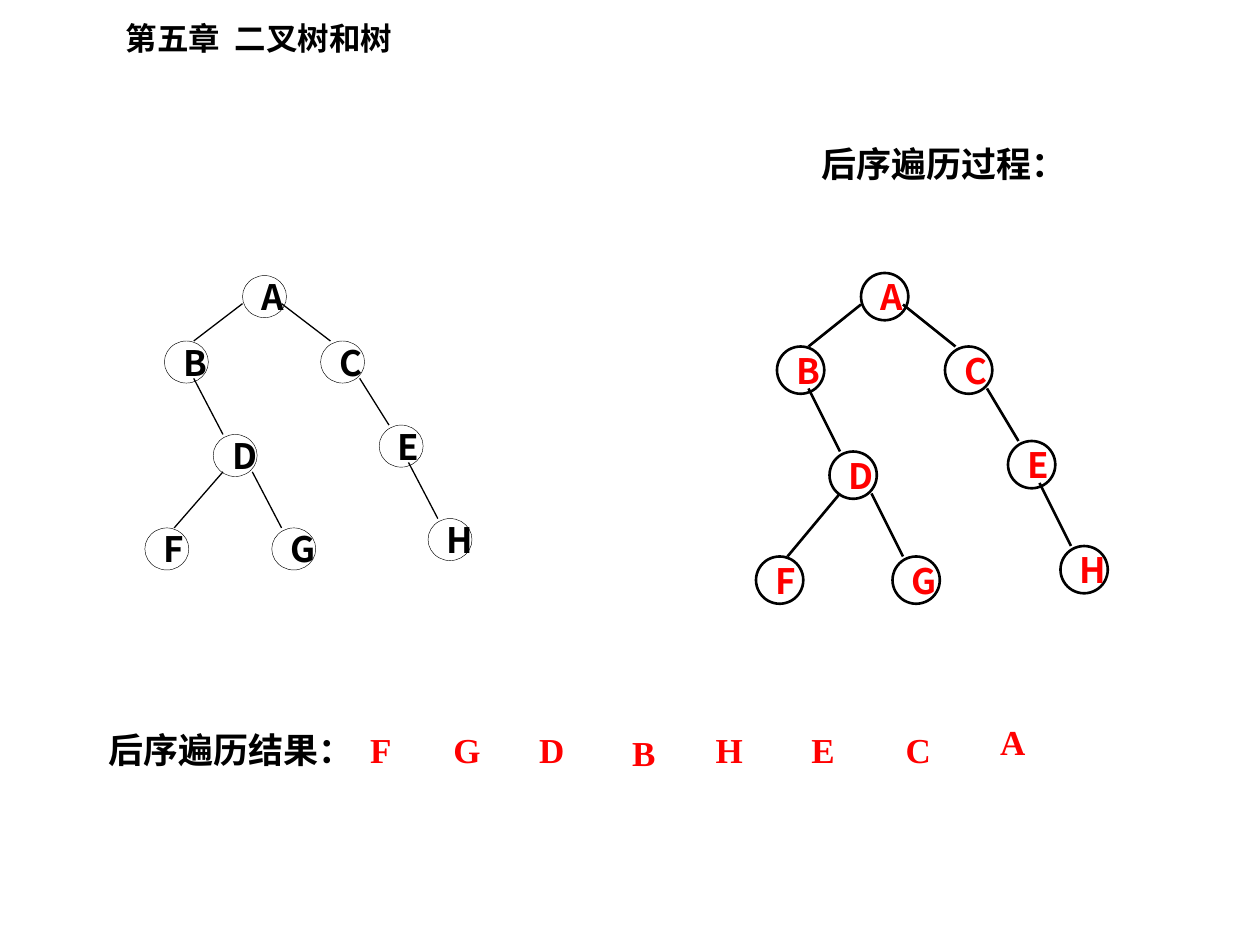
from lxml import etree
from pptx import Presentation
from pptx.dml.color import RGBColor
from pptx.enum.shapes import MSO_CONNECTOR, MSO_SHAPE
from pptx.enum.text import MSO_ANCHOR, MSO_AUTO_SIZE, PP_ALIGN
from pptx.oxml.ns import qn
from pptx.util import Pt

OVAL = MSO_SHAPE.OVAL
STRAIGHT = MSO_CONNECTOR.STRAIGHT
MIDDLE = MSO_ANCHOR.MIDDLE
CENTER = PP_ALIGN.CENTER
GROW = MSO_AUTO_SIZE.SHAPE_TO_FIT_TEXT

BLACK, RED = "000000", "FF0000"
SERIF, SANS = "Times New Roman", "Noto Sans CJK SC"
NODE_SIZE = 27

NODES = {
    "A": (60, 0), "B": (12, 42), "D": (42, 102), "C": (108, 42),
    "E": (144, 96), "G": (78, 162), "H": (174, 156), "F": (0, 162),
}
EDGES = [
    (60, 18, 30, 42), (84, 18, 114, 42), (132, 66, 150, 96),
    (162, 120, 180, 156), (30, 66, 48, 102), (66, 126, 84, 162),
    (18, 162, 48, 126),
]
TREES = [
    {"origin": (432, 156), "scale": (1, 1), "color": RED,
     "outline": 1.5, "edge": 1.5, "grouped": False},
    {"origin": (82.8, 157.5), "scale": (0.93, 0.89), "color": BLACK,
     "outline": 0.25, "edge": 0.75, "grouped": True},
]
TITLE = ("第五章  二叉树和树", 64.8, 7.2, 175, 28.8)
HEADINGS = [
    ("后序遍历过程：", 462.2, 77.8, 154.8, 31.7, 1),
    ("后序遍历结果：", 54.7, 406.8, 154.8, 37.4, 1.25),
]
RESULT = [
    ("F", 204.5, 412.6, 26.6, 31.7, 1),
    ("G", 252, 412.6, 29.5, 31.7, 1),
    ("D", 301, 412.6, 28.8, 31.7, 1),
    ("B", 354.2, 408.2, 27.4, 37.4, 1.25),
    ("H", 401.8, 412.6, 29.5, 31.7, 1),
    ("E", 456.5, 412.6, 27.4, 31.7, 1),
    ("C", 510.5, 412.6, 28.8, 31.7, 1),
    ("A", 564.5, 408.2, 28.8, 31.7, 1),
]


def rgb(value):
    return RGBColor.from_string(value)


def write(shape, text, size, font, color):
    paragraph = shape.text_frame.paragraphs[0]
    paragraph.text = text
    span = paragraph.runs[0]
    span.font.size = Pt(size)
    span.font.bold = True
    span.font.color.rgb = rgb(color)
    span.font.name = font
    east_asian = etree.SubElement(span.font._element, qn("a:ea"))
    east_asian.set("typeface", SANS)
    return paragraph


def add_text(page, text, left, top, width, height, spacing=1,
             size=20, color=BLACK, wrap=False):
    box = page.shapes.add_textbox(Pt(left), Pt(top), Pt(width), Pt(height))
    box.text_frame.word_wrap = wrap
    box.text_frame.auto_size = GROW
    paragraph = write(box, text, size, SERIF, color)
    if spacing != 1:
        paragraph.line_spacing = spacing


def add_tree(page, tree):
    shapes = page.shapes.add_group_shape().shapes if tree["grouped"] else page.shapes
    left, top = tree["origin"]
    scale_x, scale_y = tree["scale"]

    def place(x, y):
        return Pt(left + x * scale_x), Pt(top + y * scale_y)

    for letter, position in NODES.items():
        node = shapes.add_shape(OVAL, *place(*position),
                                Pt(NODE_SIZE * scale_x), Pt(NODE_SIZE * scale_y))
        node.shadow.inherit = False
        node.fill.background()
        node.line.color.rgb = rgb(BLACK)
        node.line.width = Pt(tree["outline"])
        node.text_frame.vertical_anchor = MIDDLE
        write(node, letter, 20, SANS, tree["color"]).alignment = CENTER

    for x1, y1, x2, y2 in EDGES:
        edge = shapes.add_connector(STRAIGHT, *place(x1, y1), *place(x2, y2))
        edge.line.color.rgb = rgb(BLACK)
        edge.line.width = Pt(tree["edge"])
        etree.SubElement(edge._element.spPr, qn("a:effectLst"))


def main():
    deck = Presentation()
    deck.slide_width, deck.slide_height = Pt(720), Pt(540)
    page = deck.slides.add_slide(deck.slide_layouts[6])
    add_text(page, *TITLE, size=18, wrap=True)
    for heading in HEADINGS:
        add_text(page, *heading)
    for letter in RESULT:
        add_text(page, *letter, color=RED)
    for tree in TREES:
        add_tree(page, tree)
    deck.save("out.pptx")


if __name__ == "__main__":
    main()
